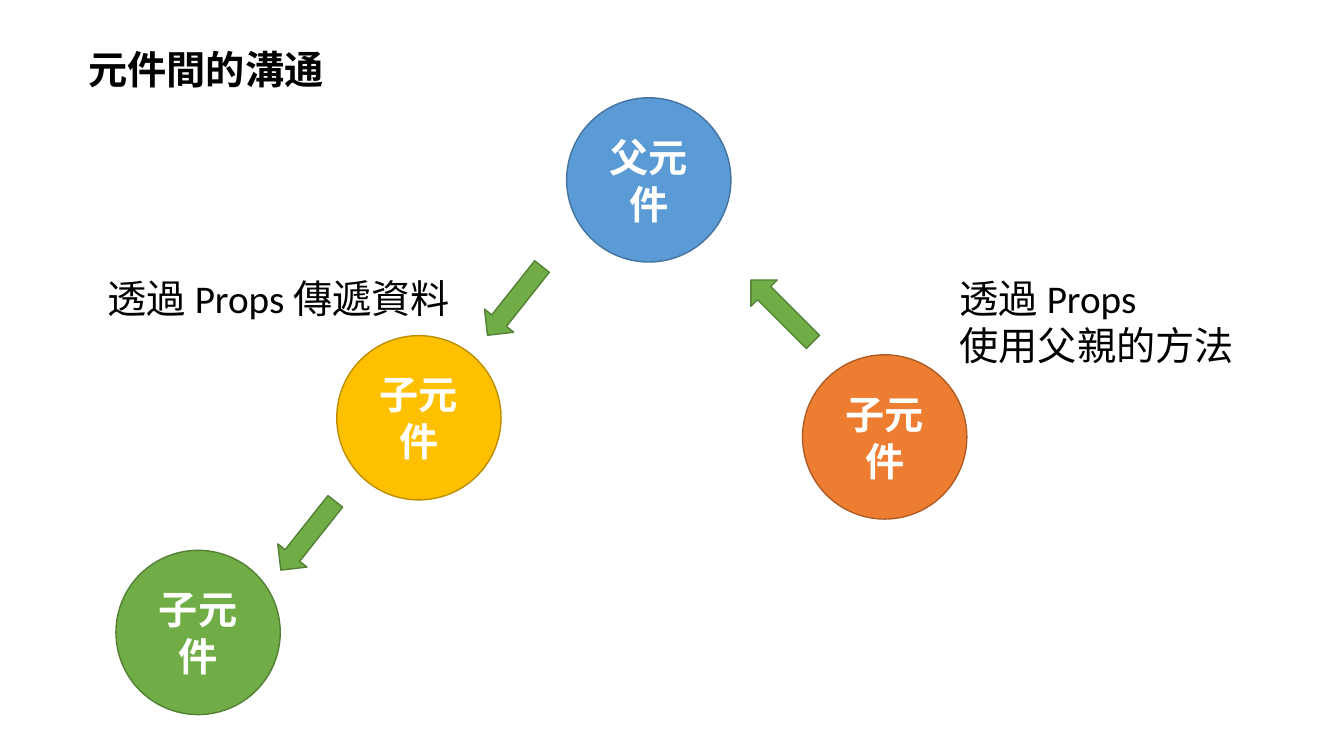
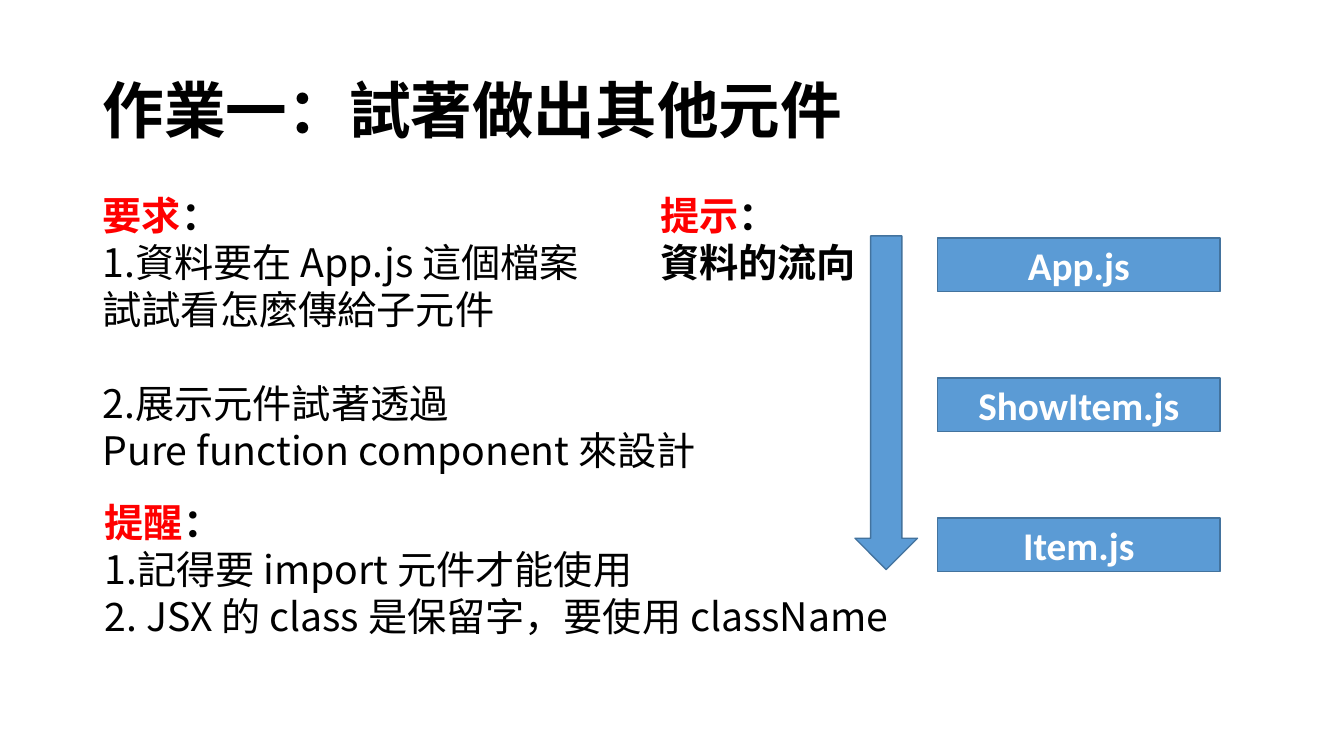
from lxml import etree
from pptx import Presentation
from pptx.dml.color import RGBColor
from pptx.enum.shapes import MSO_SHAPE
from pptx.enum.text import MSO_ANCHOR, PP_ALIGN
from pptx.oxml.ns import qn
from pptx.util import Inches, Pt

COLORS = {
    "black": "000000", "white": "FFFFFF", "red": "FF0000",
    "blue": "5B9BD5", "blue_edge": "43739E",
    "orange": "ED7D31", "orange_edge": "AF5C24",
    "gold": "FFC000", "gold_edge": "BD8E00",
    "green": "70AD47", "green_edge": "538035",
}
LATIN, CHINESE = "Calibri", "Noto Sans CJK TC"
BODY_SIZE = 28
BLANK_LINE = Pt(33.6)


def color(name):
    return RGBColor.from_string(COLORS[name])


def add_span(para, text, font=LATIN, size=BODY_SIZE, ink="black", bold=False):
    span = para.add_run()
    span.text = text
    span.font.size = Pt(size)
    span.font.bold = bold
    span.font.color.rgb = color(ink)
    span.font.name = font
    east_asian = etree.SubElement(span._r.get_or_add_rPr(), qn("a:ea"))
    east_asian.set("typeface", CHINESE)


def add_lines(page, box, lines, **style):
    """Add a text box with one paragraph per line and return its text frame."""
    frame = page.shapes.add_textbox(*map(Inches, box)).text_frame
    frame.word_wrap = True
    for index, line in enumerate(lines):
        para = frame.add_paragraph() if index else frame.paragraphs[0]
        add_span(para, line, **style)
    return frame


def add_figure(page, kind, box, fill, label="", rotation=0):
    figure = page.shapes.add_shape(kind, *map(Inches, box))
    figure.shadow.inherit = False
    figure.rotation = rotation
    figure.fill.solid()
    figure.fill.fore_color.rgb = color(fill)
    figure.line.color.rgb = color(fill + "_edge")
    figure.line.width = Pt(1)
    if label:
        frame = figure.text_frame
        frame.word_wrap = True
        frame.vertical_anchor = MSO_ANCHOR.MIDDLE
        frame.paragraphs[0].alignment = PP_ALIGN.CENTER
        add_span(frame.paragraphs[0], label, ink="white", bold=True)


def add_section(page, box, heading, lines, bold=False):
    """Add a red heading with a black colon, followed by its lines."""
    frame = add_lines(page, box, [heading], font=CHINESE, ink="red", bold=True)
    add_span(frame.paragraphs[0], "：", font=CHINESE, bold=True)
    for line in lines:
        add_span(frame.add_paragraph(), line, font=CHINESE, bold=bold)
    return frame


def add_file_flow(page, left, top, files):
    """Add a downward arrow beside an evenly spaced column of file names."""
    add_figure(page, MSO_SHAPE.DOWN_ARROW, (left, top, 0.62, 3.31), "blue")
    for index, name in enumerate(files):
        box = (left + 0.82, top + 0.02 + 1.39 * index, 2.8, 0.53)
        add_figure(page, MSO_SHAPE.RECTANGLE, box, "blue", name)


def build_communication(page):
    diameter = 1.63
    components = [
        (5.62, 0.97, "blue", "父元件"),
        (7.96, 3.52, "orange", "子元件"),
        (3.34, 3.33, "gold", "子元件"),
        (1.15, 5.46, "green", "子元件"),
    ]
    for left, top, fill, label in components:
        add_figure(page, MSO_SHAPE.OVAL, (left, top, diameter, diameter), fill, label)
    for left, top, angle in [(4.67, 2.8, 128.4), (7.32, 2.9, 225), (2.62, 5.13, 128.4)]:
        add_figure(page, MSO_SHAPE.RIGHT_ARROW, (left, top, 0.87, 0.37), "green",
                   rotation=angle)
    add_lines(page, (0.78, 0.4, 2.56, 0.57), ["元件間的溝通"], bold=True)
    add_lines(page, (0.97, 2.67, 3.64, 0.57), ["透過 Props 傳遞資料"])
    add_lines(page, (9.42, 2.67, 2.95, 1.04), ["透過 Props", "使用父親的方法"])


def build_homework(page):
    title = add_lines(page, (0.92, 0.4, 11.5, 1.45), ["作業一：試著做出其他元件"],
                      font=CHINESE, size=44, bold=True)
    title.vertical_anchor = MSO_ANCHOR.MIDDLE
    title.paragraphs[0].line_spacing = 0.9
    tasks = add_section(page, (0.92, 1.85, 6.18, 2.93), "要求", [
        "1.資料要在 App.js 這個檔案",
        "試試看怎麼傳給子元件",
        "2.展示元件試著透過",
        "Pure function component 來設計",
    ])
    tasks.paragraphs[3].space_before = BLANK_LINE
    add_section(page, (6.45, 1.85, 2.17, 1.04), "提示", ["資料的流向"], bold=True)
    add_file_flow(page, 8.48, 2.34, ["App.js", "ShowItem.js", "Item.js"])
    add_section(page, (0.94, 4.89, 8.02, 1.51), "提醒", [
        "1.記得要 import 元件才能使用",
        "2. JSX 的 class 是保留字，要使用 className",
    ])


def main():
    deck = Presentation()
    deck.slide_width, deck.slide_height = Inches(13.33), Inches(7.5)
    for build in (build_communication, build_homework):
        build(deck.slides.add_slide(deck.slide_layouts[6]))
    deck.save("out.pptx")


if __name__ == "__main__":
    main()
